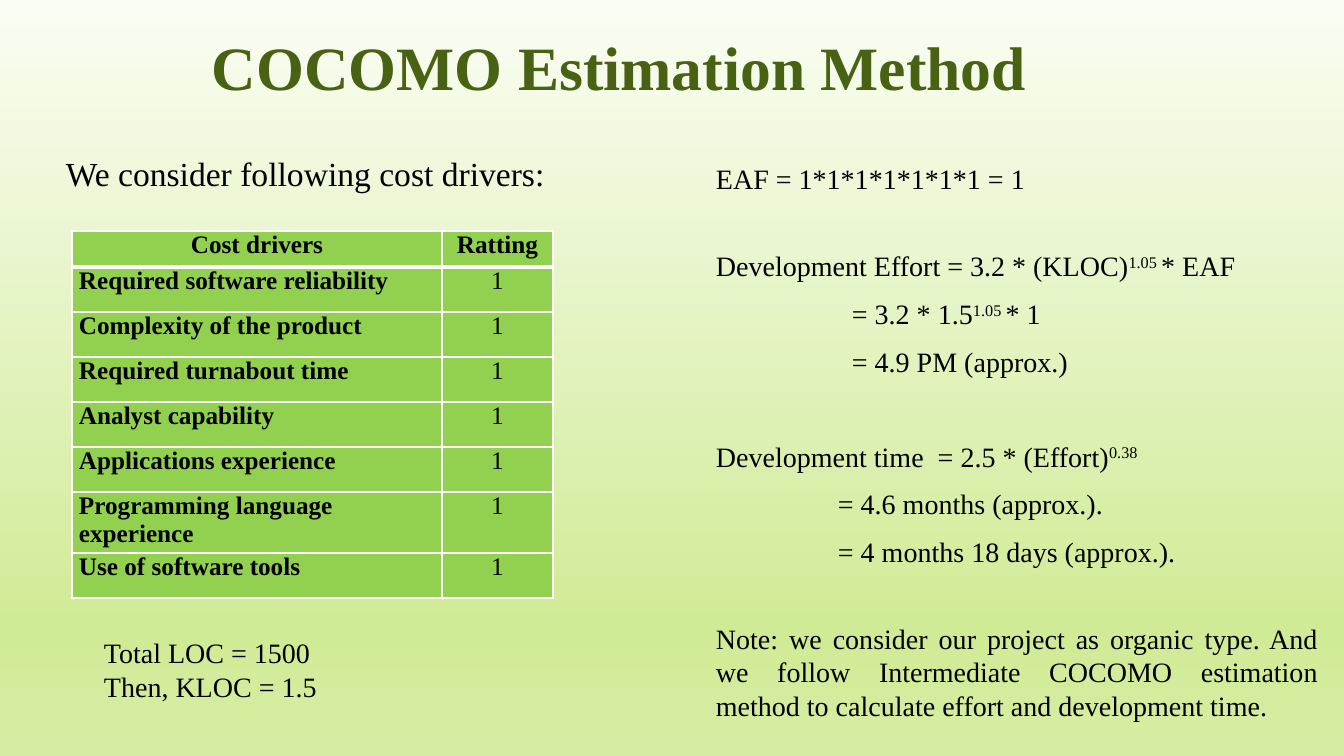
from dataclasses import dataclass

from pptx import Presentation
from pptx.dml.color import RGBColor as Rgb
from pptx.enum.text import MSO_ANCHOR as Anchor, PP_ALIGN as Align
from pptx.oxml import parse_xml
from pptx.oxml.ns import nsdecls
from pptx.util import Pt

EMU_PER_PX = 12192000 // 1344 + 1
SLIDE_W, SLIDE_H = 12192000, 6858000


@dataclass(frozen=True)
class Theme:
    font: str = "Times New Roman"
    title_color: str = "486113"
    ink: str = "000000"
    cell: str = "92D050"
    rule: str = "FFFFFF"
    backdrop: tuple = ((0, "FAFDF3"), (83, "D0EB96"), (100, "D5EDA2"))
    title_size: int = 44
    lead_size: int = 24
    body_size: int = 20
    table_size: int = 18


THEME = Theme()

DRIVERS = [
    "Required software reliability",
    "Complexity of the product",
    "Required turnabout time",
    "Analyst capability",
    "Applications experience",
    "Programming language experience",
    "Use of software tools",
]
RATING = "1"
COLUMN_WIDTHS = (370, 111)
HEADER_HEIGHT, ROW_HEIGHT, TALL_ROW_HEIGHT = 36, 45, 61

# Each line: space before in points, indent in px, (text, is superscript) parts
LINE_GAP, SECTION_GAP, TIME_GAP = 10, 38, 44
EFFORT_INDENT, TIME_INDENT = 136, 122
CALCULATION = [
    (0, 0, [("EAF = 1*1*1*1*1*1*1 = 1", False)]),
    (SECTION_GAP, 0, [("Development Effort = 3.2 * (KLOC)", False),
                      ("1.05 ", True), ("* EAF", False)]),
    (LINE_GAP, EFFORT_INDENT, [("= 3.2 * 1.5", False), ("1.05 ", True),
                               ("* 1", False)]),
    (LINE_GAP, EFFORT_INDENT, [("= 4.9 PM (approx.)", False)]),
    (TIME_GAP, 0, [("Development time  = 2.5 * (Effort)", False),
                   ("0.38", True)]),
    (LINE_GAP, TIME_INDENT, [("= 4.6 months (approx.).", False)]),
    (LINE_GAP, TIME_INDENT, [("= 4 months 18 days (approx.).", False)]),
    (SECTION_GAP, 0, [("Note: we consider our project as organic type. And we "
                       "follow Intermediate COCOMO estimation method to "
                       "calculate effort and development time.", False)]),
]


def px(length):
    return length * EMU_PER_PX


def paint_background(slide):
    stops = "".join(
        f'<a:gs pos="{pos * 1000}"><a:srgbClr val="{color}"/></a:gs>'
        for pos, color in THEME.backdrop)
    slide.element.cSld.insert(0, parse_xml(
        f'<p:bg {nsdecls("p", "a")}><p:bgPr><a:gradFill rotWithShape="1">'
        f'<a:gsLst>{stops}</a:gsLst><a:lin ang="5400000" scaled="0"/>'
        '</a:gradFill><a:effectLst/></p:bgPr></p:bg>'))


def add_run(paragraph, text, size, color=THEME.ink, bold=False, raised=False):
    run = paragraph.add_run()
    run.text = text
    run.font.name = THEME.font
    run.font.size = Pt(size)
    run.font.bold = bold
    run.font.color.rgb = Rgb.from_string(color)
    if raised:
        run.font._element.set("baseline", "30000")


def add_frame(slide, left, top, width, height, anchor=Anchor.TOP):
    """Add a wrapping text box and return its text frame."""
    box = slide.shapes.add_textbox(px(left), px(top), px(width), px(height))
    frame = box.text_frame
    frame.word_wrap = True
    frame.vertical_anchor = anchor
    return frame


def add_paragraph(frame, is_first):
    return frame.paragraphs[0] if is_first else frame.add_paragraph()


def add_title(slide):
    frame = add_frame(slide, 202, 15, 874, 126)
    frame.margin_top = px(14)
    add_run(frame.paragraphs[0], "COCOMO Estimation Method",
            THEME.title_size, THEME.title_color, bold=True)


def add_plain_lines(slide, lines, size, box, anchor=Anchor.TOP):
    frame = add_frame(slide, *box, anchor)
    for index, line in enumerate(lines):
        add_run(add_paragraph(frame, index == 0), line, size)


def add_calculation(slide):
    frame = add_frame(slide, 706, 157, 622, 591)
    for index, (gap, indent, parts) in enumerate(CALCULATION):
        paragraph = add_paragraph(frame, index == 0)
        paragraph.alignment = Align.JUSTIFY
        paragraph.space_before = Pt(gap)
        paragraph._p.get_or_add_pPr().set("marL", str(px(indent)))
        for text, raised in parts:
            add_run(paragraph, text, THEME.body_size, raised=raised)


def style_cell(cell, is_header, below_header):
    """Set margins, borders and fill; the rule under the header is thicker."""
    cell.margin_left = cell.margin_right = px(7)
    cell.margin_top = cell.margin_bottom = 0
    widths = {"lnL": 1, "lnR": 1, "lnT": 3 if below_header else 1,
              "lnB": 3 if is_header else 1}
    for side, width in widths.items():
        cell._tc.get_or_add_tcPr().append(parse_xml(
            f'<a:{side} {nsdecls("a")} w="{Pt(width)}"><a:solidFill>'
            f'<a:srgbClr val="{THEME.rule}"/></a:solidFill></a:{side}>'))
    cell.fill.solid()
    cell.fill.fore_color.rgb = Rgb.from_string(THEME.cell)


def add_driver_table(slide):
    rows = [("Cost drivers", "Ratting")] + [(name, RATING) for name in DRIVERS]
    heights = [HEADER_HEIGHT] + [
        TALL_ROW_HEIGHT if name.startswith("Programming") else ROW_HEIGHT
        for name in DRIVERS]
    table = slide.shapes.add_table(
        len(rows), len(COLUMN_WIDTHS), px(72), px(231),
        px(sum(COLUMN_WIDTHS)), px(sum(heights))).table
    table.first_row = table.horz_banding = False
    for column, width in zip(table.columns, COLUMN_WIDTHS):
        column.width = px(width)
    for r, (values, height) in enumerate(zip(rows, heights)):
        table.rows[r].height = px(height)
        for c, value in enumerate(values):
            cell = table.cell(r, c)
            style_cell(cell, r == 0, r == 1)
            paragraph = cell.text_frame.paragraphs[0]
            is_name = r > 0 and c == 0
            paragraph.alignment = Align.LEFT if is_name else Align.CENTER
            add_run(paragraph, value, THEME.table_size,
                    bold=r == 0 or is_name)


def main():
    deck = Presentation()
    deck.slide_width, deck.slide_height = SLIDE_W, SLIDE_H
    slide = deck.slides.add_slide(deck.slide_layouts[6])
    paint_background(slide)
    add_title(slide)
    add_driver_table(slide)
    add_calculation(slide)
    add_plain_lines(slide, ["Total LOC = 1500", "Then, KLOC = 1.5"],
                    THEME.body_size, (94, 630, 456, 78), Anchor.MIDDLE)
    add_plain_lines(slide, ["We consider following cost drivers:"],
                    THEME.lead_size, (56, 148, 588, 50))
    deck.save("out.pptx")


if __name__ == "__main__":
    main()
